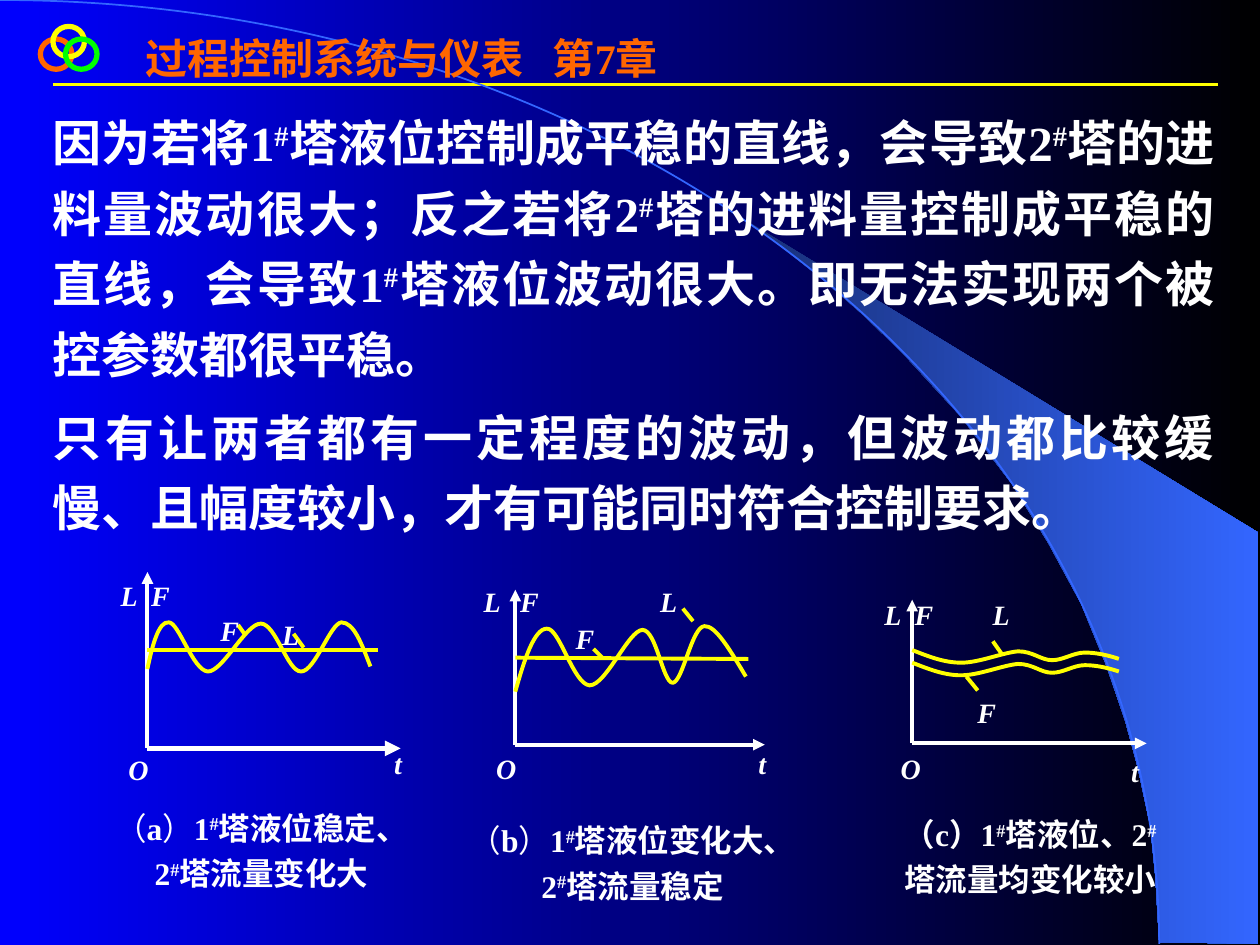
"""Build the slide on level and flow control of two towers."""
from lxml import etree
from pptx import Presentation
from pptx.dml.color import RGBColor
from pptx.enum.lang import MSO_LANGUAGE_ID
from pptx.enum.shapes import MSO_CONNECTOR, MSO_SHAPE
from pptx.enum.text import PP_ALIGN
from pptx.oxml.ns import qn
from pptx.util import Inches, Pt

STRAIGHT, OVAL = MSO_CONNECTOR.STRAIGHT, MSO_SHAPE.OVAL
LEFT, CENTER, JUSTIFY = PP_ALIGN.LEFT, PP_ALIGN.CENTER, PP_ALIGN.JUSTIFY
CHINESE = MSO_LANGUAGE_ID.SIMPLIFIED_CHINESE
WHITE, YELLOW, ORANGE, BLUE = "FFFFFF", "FFFF00", "FF6600", "3366FF"
color = RGBColor.from_string

STYLES = {
    "title": {"size": Pt(24), "color": ORANGE, "align": LEFT, "spacing": 1.0, "italic": False},
    "body": {"size": Pt(28), "color": WHITE, "align": JUSTIFY, "spacing": 1.2, "italic": False},
    "label": {"size": Pt(16), "color": WHITE, "align": JUSTIFY, "spacing": 1.2, "italic": True},
    "caption": {"size": Pt(18), "color": WHITE, "align": CENTER, "spacing": 1.2, "italic": False},
}


def add_text(shapes, text, bounds, style_name, tab=None):
    """Write paragraphs; "|" parts the runs and "#" is raised."""
    style = STYLES[style_name]
    frame = shapes.add_textbox(*map(Inches, bounds)).text_frame
    frame.word_wrap = True
    for index, line in enumerate(text.split("\n")):
        para = frame.add_paragraph() if index else frame.paragraphs[0]
        properties = para._p.get_or_add_pPr()
        properties.set("hangingPunct", "0")
        if tab:
            tabs = etree.SubElement(properties, qn("a:tabLst"))
            etree.SubElement(tabs, qn("a:tab"), pos=str(Inches(tab)), algn="l")
        para.alignment, para.line_spacing = style["align"], style["spacing"]
        if index:
            para.space_before = Pt(7)
        for piece in line.replace("#", "|#|").split("|"):
            span = para.add_run()
            span.text = piece
            formats = {"name": "Times New Roman", "size": style["size"], "language_id": CHINESE,
                       "bold": piece not in "（）", "italic": style["italic"]}
            for key, value in formats.items():
                setattr(span.font, key, value)
            span.font.color.rgb = color(style["color"])
            if piece == "#":
                span._r.get_or_add_rPr().set("baseline", "30000")


def add_outline(shapes, points, close):
    """Add a freeform through points given in inches."""
    corners = [(Inches(x), Inches(y)) for x, y in points]
    builder = shapes.build_freeform(*corners[0])
    builder.add_line_segments(corners[1:], close=close)
    outline = builder.convert_to_shape()
    outline.shadow.inherit = False
    return outline


deck = Presentation()
deck.slide_width, deck.slide_height = Inches(10), Inches(7.5)
page = deck.slides.add_slide(deck.slide_layouts[6])

swoosh_points = [
    (9.2, 7.48), (9.99, 7.49), (9.99, 4.23), (5.89, 1.73), (6.24, 1.99), (6.53, 2.22),
    (6.85, 2.5), (7.16, 2.8), (7.62, 3.3), (8.03, 3.84), (8.32, 4.31), (8.58, 4.79),
    (8.78, 5.28), (8.93, 5.72), (9.03, 6.09), (9.13, 6.56), (9.17, 6.96),
]
swoosh = add_outline(page.shapes, swoosh_points, True)
swoosh.line.fill.background()

for fill, stops in ((page.background.fill, ("0000FF", "000000")), (swoosh.fill, ("182F76", BLUE))):
    fill.gradient()
    fill.gradient_angle = 0
    for stop, shade in zip(fill.gradient_stops, stops):
        stop.color.rgb = color(shade)

body = ("因为若将1#塔液位控制成平稳的直线，会导致2#塔的进料量波动很大；反之若将2#塔的进料量"
        "控制成平稳的直线，会导致1#塔液位波动很大。即无法实现两个被控参数都很平稳。\n"
        "只有让两者都有一定程度的波动，但波动都比较缓慢、且幅度较小，才有可能同时符合控制要求。")
header = {
    "curves": [[(0, 0), (5.08, 0), (9.2, 3.35), (9.2, 7.49)]],
    "curve_format": (BLUE, 1),
    "lines": [((0.42, 0.67, 9.67, 0.67), YELLOW, 1.5, None)],
    "texts": [("过程控制系统与仪表\t第7章", (1.06, 0.21, 4.9, 0.5), "title", 3.23),
              (body, (0.32, 0.75, 9.42, 3.56), "body")],
}

figures = [
    {"origin": (1.17, 5.94), "top": 4.54, "right": 3.18, "time_width": 3,
     "marks": [(1.17, 5.16, 3, 5.16), (1.89, 4.96, 1.94, 5.03), (2.33, 5.03, 2.41, 5.14)],
     "curves": [[(1.17, 5.31), (1.21, 5.12), (1.26, 4.93), (1.34, 4.94), (1.42, 4.94),
                 (1.53, 5.32), (1.65, 5.33), (1.77, 5.33), (1.95, 4.95), (2.07, 4.95),
                 (2.19, 4.95), (2.28, 5.33), (2.39, 5.33), (2.5, 5.33), (2.62, 4.95),
                 (2.71, 4.94), (2.81, 4.94), (2.87, 5.11), (2.94, 5.29)]],
     "texts": [("L\tF", (0.86, 4.49, 0.61, 0.31), "label", 0.24),
               ("F", (1.65, 4.77, 0.37, 0.27), "label"), ("L", (2.14, 4.8, 0.35, 0.27), "label"),
               ("t", (3.03, 5.82, 0.3, 0.26), "label"), ("O", (0.92, 5.87, 0.35, 0.29), "label"),
               ("（|a|）|1#塔液位稳定、2#塔流量变化大", (0.77, 6.31, 2.61, 0.9), "caption")]},
    {"origin": (4.09, 5.91), "top": 4.68, "right": 6.07, "time_width": 2.25,
     "marks": [(4.09, 5.22, 5.94, 5.23), (4.71, 5.15, 4.78, 5.22), (5.42, 4.83, 5.5, 4.93)],
     "curves": [[(4.09, 5.49), (4.16, 5.24), (4.24, 4.99), (4.34, 4.99), (4.44, 4.98),
                 (4.55, 5.43), (4.68, 5.44), (4.81, 5.44), (4.99, 5), (5.1, 5),
                 (5.21, 5), (5.26, 5.42), (5.34, 5.42), (5.42, 5.41), (5.49, 4.98),
                 (5.59, 4.97), (5.68, 4.96), (5.8, 5.17), (5.92, 5.37)]],
     "texts": [("L\tF", (3.74, 4.54, 0.9, 0.27), "label", 0.29),
               ("F", (4.47, 4.83, 0.36, 0.24), "label"), ("L", (5.14, 4.54, 0.34, 0.23), "label"),
               ("t", (5.92, 5.82, 0.34, 0.26), "label"), ("O", (3.84, 5.86, 0.34, 0.26), "label"),
               ("（|b|）|1#塔液位变化大、2#塔流量稳定", (3.57, 6.41, 2.9, 0.9), "caption")]},
    {"origin": (7.24, 5.9), "top": 4.76, "right": 9.1, "time_width": 2.25,
     "marks": [(7.67, 5.37, 7.76, 5.48), (7.88, 5.09, 7.95, 5.19)],
     "curves": [[(x, y + drop) for x, y in (
         (7.24, 5.16), (7.37, 5.21), (7.49, 5.26), (7.63, 5.26), (7.77, 5.26),
         (7.96, 5.18), (8.08, 5.17), (8.2, 5.17), (8.26, 5.24), (8.35, 5.24),
         (8.44, 5.24), (8.52, 5.18), (8.61, 5.18), (8.7, 5.18), (8.79, 5.2), (8.88, 5.23))]
         for drop in (0.1, 0)],
     "texts": [("L\tF", (6.92, 4.64, 0.76, 0.33), "label", 0.24),
               ("F", (7.66, 5.42, 0.33, 0.22), "label"), ("L", (7.78, 4.64, 0.3, 0.22), "label"),
               ("t", (8.88, 5.89, 0.3, 0.24), "label"), ("O", (7.05, 5.86, 0.3, 0.24), "label"),
               ("（c）1#塔液位、2#塔流量均变化较小", (7.02, 6.36, 2.31, 0.9), "caption")]},
]
for figure in figures:
    x, y = figure["origin"]
    figure["curve_format"] = (YELLOW, 2.25)
    figure["lines"] = [((x, figure["top"], x, y), WHITE, 2.25, "a:headEnd"),
                       ((x, y, figure["right"], y), WHITE, figure["time_width"], "a:tailEnd")]
    figure["lines"] += [(ends, YELLOW, 2.25, None) for ends in figure["marks"]]

for drawing in [header] + figures:
    shapes = page.shapes if drawing is header else page.shapes.add_group_shape().shapes
    for ends, shade, width, arrow in drawing["lines"]:
        line = shapes.add_connector(STRAIGHT, *map(Inches, ends))
        line.line.color.rgb, line.line.width = color(shade), Pt(width)
        if arrow:
            etree.SubElement(line.line._get_or_add_ln(), qn(arrow), type="triangle")
        etree.SubElement(line._element.spPr, qn("a:effectLst"))
    for knots in drawing["curves"]:
        curve = add_outline(shapes, knots, False)
        segments = list(curve._element.iter(qn("a:lnTo")))
        for start in range(0, len(segments), 3):
            bend = etree.SubElement(segments[start].getparent(), qn("a:cubicBezTo"))
            for segment in segments[start:start + 3]:
                bend.append(segment[0])
                segment.getparent().remove(segment)
        curve.fill.background()
        shade, width = drawing["curve_format"]
        curve.line.color.rgb, curve.line.width = color(shade), Pt(width)
    for entry in drawing["texts"]:
        add_text(shapes, *entry)

for left, top, shade in ((0.32, 0.31, ORANGE), (0.42, 0.21, YELLOW), (0.52, 0.31, "00FF00")):
    ring = page.shapes.add_shape(OVAL, *map(Inches, (left, top, 0.25, 0.24)))
    ring.shadow.inherit = False
    ring.fill.background()
    ring.line.color.rgb, ring.line.width = color(shade), Pt(3)

deck.save("out.pptx")
